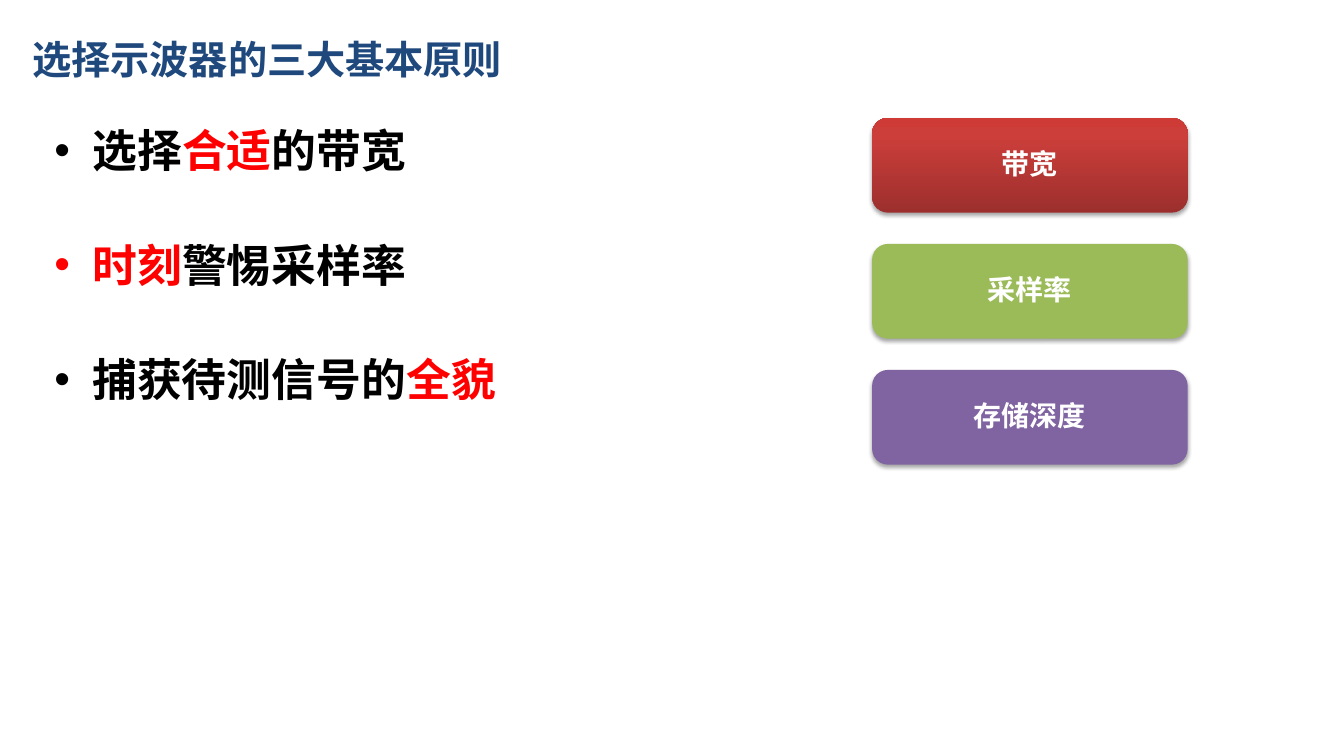
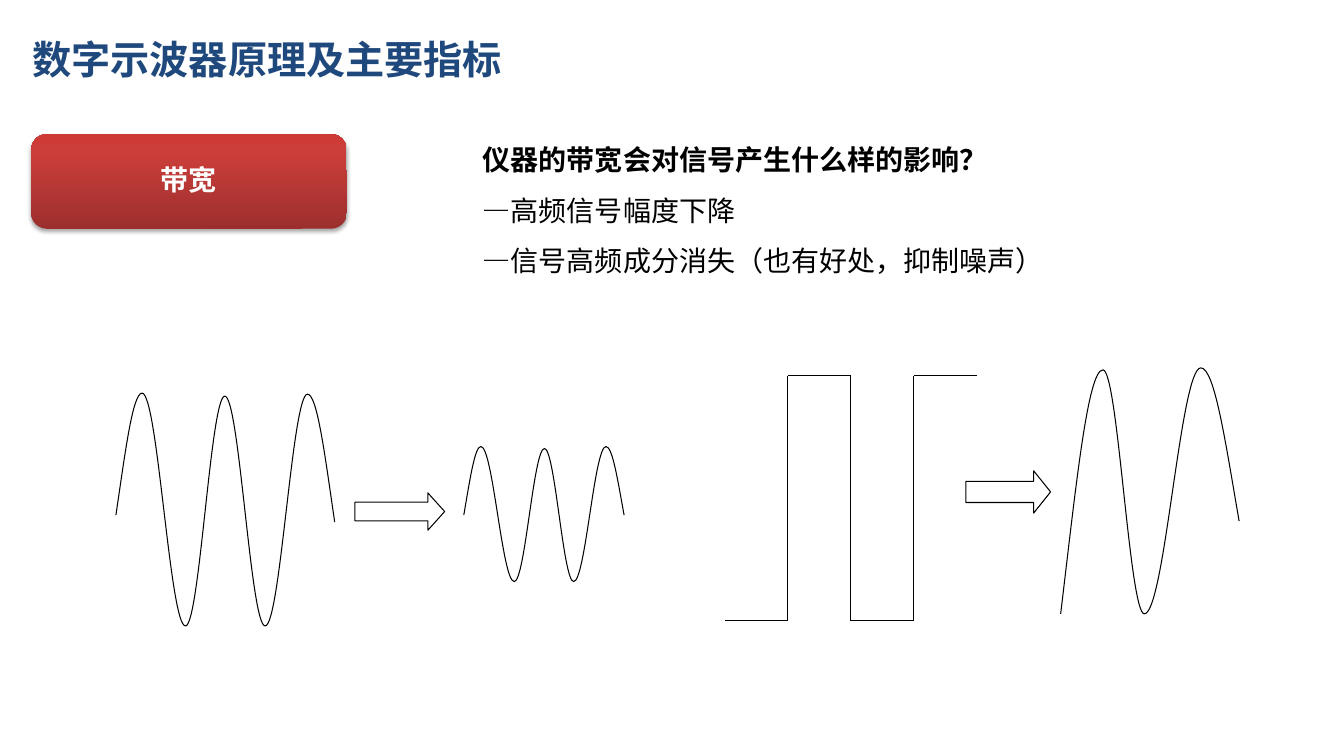
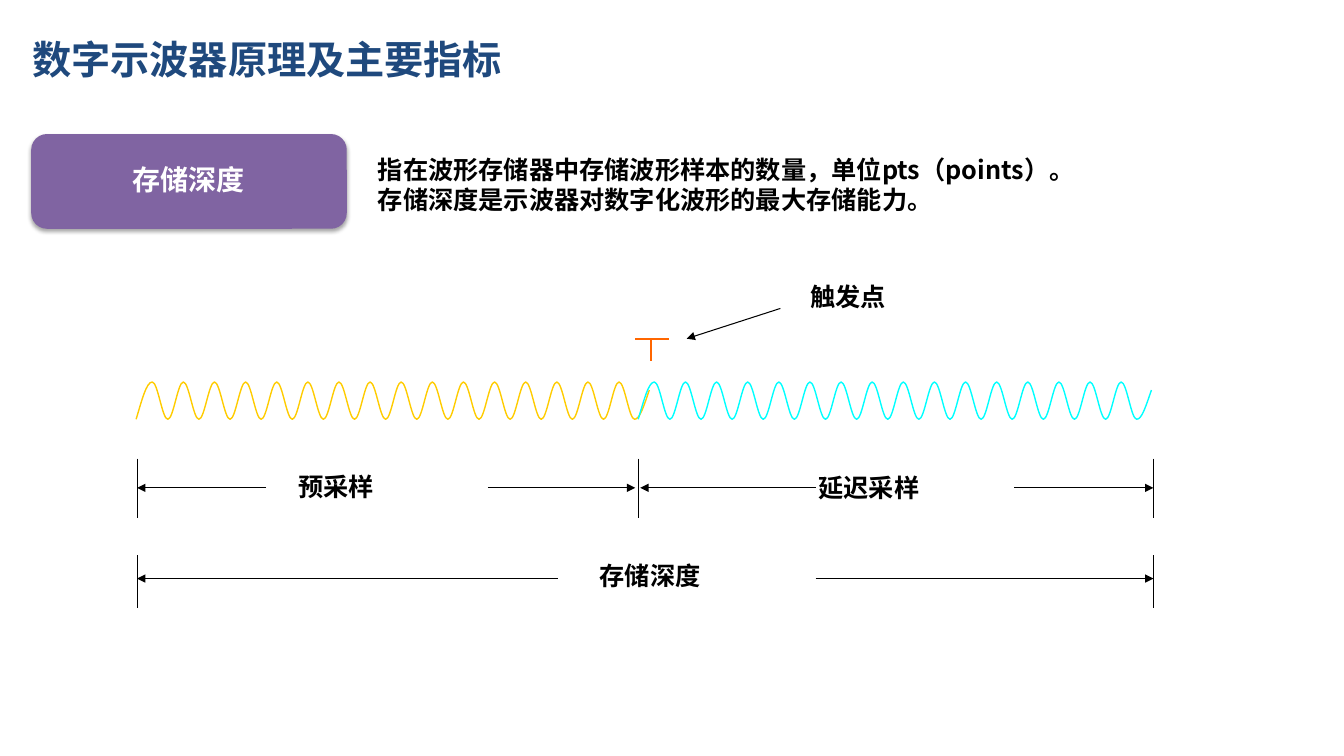
from dataclasses import dataclass
from itertools import pairwise
from copy import deepcopy
from typing import Any, NamedTuple

from lxml.etree import SubElement
from pptx import Presentation
from pptx.dml.color import RGBColor
from pptx.enum.shapes import MSO_CONNECTOR as Connector, MSO_SHAPE as Shape
from pptx.enum.text import MSO_ANCHOR as Anchor, MSO_AUTO_SIZE as AutoSize, PP_ALIGN as Align
from pptx.oxml.ns import qn
from pptx.util import Inches, Pt

# Shared look
FONT = "Noto Sans CJK SC"
NAVY = RGBColor(0x1F, 0x49, 0x7D)
BLACK = RGBColor(0x00, 0x00, 0x00)
WHITE = RGBColor(0xFF, 0xFF, 0xFF)
RED = RGBColor(0xFF, 0x00, 0x00)
GREEN = RGBColor(0x9B, 0xBB, 0x59)
PURPLE = RGBColor(0x80, 0x64, 0xA2)
YELLOW = RGBColor(0xFF, 0xCC, 0x00)
CYAN = RGBColor(0x00, 0xFF, 0xFF)
ORANGE = RGBColor(0xFF, 0x66, 0x00)
RED_GRADIENT = [
    (0, RGBColor(0x9C, 0x2F, 0x2D)),
    (0.8, RGBColor(0xCB, 0x3E, 0x3A)),
    (1, RGBColor(0xCE, 0x3B, 0x37)),
]

TITLE_FORMAT = {"name": FONT, "size": Pt(28), "bold": True}
LIST_FORMAT = {"name": FONT, "size": Pt(32), "bold": True}
CARD_FORMAT = {"name": FONT, "size": Pt(20), "bold": True}
PLAIN_FORMAT = {"name": FONT, "size": Pt(20), "bold": False}
LABEL_FORMAT = {"name": FONT, "size": Pt(18), "bold": True}

CARD_WIDTH, CARD_HEIGHT = 3.13, 0.94
# Bezier handles that follow a sine, as shares of a segment
HANDLE_REACH, HANDLE_RISE = 0.36, 0.52

Point = tuple[float, float]


class Card(NamedTuple):
    text: str
    fill: RGBColor | None  # None means the red gradient


@dataclass
class Line:
    start: Point
    end: Point
    color: RGBColor = BLACK
    width: float = 0.75
    arrow: bool = False


@dataclass
class Wave:
    start: Point
    turns: list[Point]
    end: Point
    color: RGBColor = BLACK
    width: float = 0.75


class Label(NamedTuple):
    left: float
    top: float
    width: float
    text: str


class BlockArrow(NamedTuple):
    left: float
    top: float
    width: float
    height: float
    head: float


BANDWIDTH = Card("带宽", None)
SAMPLE_RATE = Card("采样率", GREEN)
MEMORY_DEPTH = Card("存储深度", PURPLE)


def place(shape: Any, left: float, top: float, width: float, height: float) -> None:
    shape.left, shape.top = Inches(left), Inches(top)
    shape.width, shape.height = Inches(width), Inches(height)


def add_span(para: Any, text: str, style: dict, color: RGBColor = BLACK) -> None:
    span = para.add_run()
    span.text = text
    for name, value in style.items():
        setattr(span.font, name, value)
    span.font.color.rgb = color
    latin = span.font._element.find(qn("a:latin"))
    east_asian = deepcopy(latin)
    east_asian.tag = qn("a:ea")
    latin.addnext(east_asian)


def add_page(deck: Any, layout: int, title: str) -> Any:
    page = deck.slides.add_slide(deck.slide_layouts[layout])
    box = page.shapes.title
    place(box, 0.22, 0.25, 11.67, 0.67)
    frame = box.text_frame
    frame.auto_size = AutoSize.NONE
    frame.vertical_anchor = Anchor.MIDDLE
    para = frame.paragraphs[0]
    para.alignment = Align.LEFT
    add_span(para, title, TITLE_FORMAT, NAVY)
    return page


def add_text(page: Any, left: float, top: float, width: float, height: float,
             lines: list[tuple[str, dict]], spacing: float = 1.0, wrap: bool = True) -> None:
    box = page.shapes.add_textbox(Inches(left), Inches(top), Inches(width), Inches(height))
    frame = box.text_frame
    frame.word_wrap = wrap
    for index, (text, style) in enumerate(lines):
        para = frame.add_paragraph() if index else frame.paragraphs[0]
        para.line_spacing = spacing
        add_span(para, text, style)


def add_card(page: Any, card: Card, left: float, top: float) -> None:
    box = page.shapes.add_shape(Shape.ROUNDED_RECTANGLE, Inches(left), Inches(top),
                                Inches(CARD_WIDTH), Inches(CARD_HEIGHT))
    box.line.fill.background()
    if card.fill is None:
        box.fill.gradient()
        box.fill.gradient_angle = 90
        stop_list = box.element.spPr.find(".//" + qn("a:gsLst"))
        stop_list.append(deepcopy(stop_list[0]))
        for stop, (position, color) in zip(box.fill.gradient_stops, RED_GRADIENT):
            stop.position, stop.color.rgb = position, color
    else:
        box.fill.solid()
        box.fill.fore_color.rgb = card.fill
    # Soft shadow straight below the card
    box.shadow.inherit = False
    effects = box.element.spPr.find(qn("a:effectLst"))
    shadow = SubElement(effects, qn("a:outerShdw"), blurRad=str(Pt(3.1)), dist=str(Pt(1.8)),
                        dir="5400000", algn="ctr", rotWithShape="0")
    black = SubElement(shadow, qn("a:srgbClr"), val=str(BLACK))
    SubElement(black, qn("a:alpha"), val="35000")
    frame = box.text_frame
    frame.vertical_anchor = Anchor.MIDDLE
    para = frame.paragraphs[0]
    para.alignment = Align.CENTER
    para.line_spacing = 0.9
    add_span(para, card.text, CARD_FORMAT, WHITE)


def add_line(page: Any, line: Line) -> None:
    connector = page.shapes.add_connector(Connector.STRAIGHT, *map(Inches, line.start + line.end))
    connector.line.color.rgb = line.color
    connector.line.width = Pt(line.width)
    properties = connector.element.spPr
    if line.arrow:
        SubElement(properties.find(qn("a:ln")), qn("a:tailEnd"), type="triangle")
    SubElement(properties, qn("a:effectLst"))


def bend_segments(curve: Any) -> None:
    """Turn straight segments into Bezier ones, level at each turning point."""
    outline = curve.element.spPr.find(".//" + qn("a:path"))
    points = [(int(point.get("x")), int(point.get("y"))) for point in outline.iter(qn("a:pt"))]
    segments = outline.findall(qn("a:lnTo"))
    last = len(segments) - 1
    for index, (segment, ((x0, y0), (x1, y1))) in enumerate(zip(segments, pairwise(points))):
        reach, rise = HANDLE_REACH * (x1 - x0), HANDLE_RISE * (y1 - y0)
        handles = [
            (x0 + reach, y0 + rise if index == 0 else y0),
            (x1 - reach, y1 - rise if index == last else y1),
        ]
        target = segment[0]
        segment.tag = qn("a:cubicBezTo")
        for x, y in handles:
            SubElement(segment, qn("a:pt"), x=str(round(x)), y=str(round(y)))
        segment.append(target)


def add_wave(page: Any, wave: Wave) -> None:
    first, *rest = [(Inches(x), Inches(y)) for x, y in [wave.start, *wave.turns, wave.end]]
    builder = page.shapes.build_freeform(*first)
    builder.add_line_segments(rest, close=False)
    curve = builder.convert_to_shape()
    bend_segments(curve)
    curve.fill.background()
    curve.line.color.rgb = wave.color
    curve.line.width = Pt(wave.width)
    curve.shadow.inherit = False


def add_block_arrow(page: Any, arrow: BlockArrow) -> None:
    shape = page.shapes.add_shape(Shape.RIGHT_ARROW, *map(Inches, arrow[:4]))
    shape.adjustments[1] = arrow.head
    shape.fill.solid()
    shape.fill.fore_color.rgb = WHITE
    shape.line.color.rgb = BLACK
    shape.line.width = Pt(0.75)
    shape.shadow.inherit = False


def build_principles(deck: Any) -> None:
    page = add_page(deck, 1, "选择示波器的三大基本原则")
    principles = [
        [("选择", BLACK), ("合适", RED), ("的带宽", BLACK)],
        [("时刻", RED), ("警惕采样率", BLACK)],
        [("捕获待测信号的", BLACK), ("全貌", RED)],
    ]
    body = page.placeholders[1]
    place(body, 0.44, 1.17, 8, 5.67)
    frame = body.text_frame
    frame.auto_size = AutoSize.NONE
    for index, spans in enumerate(principles):
        para = frame.add_paragraph() if index else frame.paragraphs[0]
        para.space_before = Pt(43.3 if index else 0)
        for text, color in spans:
            add_span(para, text, LIST_FORMAT, color)
    for index, card in enumerate([BANDWIDTH, SAMPLE_RATE, MEMORY_DEPTH]):
        add_card(page, card, 8.65, 1.17 + 1.25 * index)


def build_bandwidth(deck: Any) -> None:
    page = add_page(deck, 5, "数字示波器原理及主要指标")
    add_card(page, BANDWIDTH, 0.31, 1.33)
    add_text(page, 4.69, 1.2, 8.23, 1.62, [
        ("仪器的带宽会对信号产生什么样的影响？", CARD_FORMAT),
        ("—高频信号幅度下降", PLAIN_FORMAT),
        ("—信号高频成分消失（也有好处，抑制噪声）", PLAIN_FORMAT),
    ], spacing=1.5)
    # Full sine, weakened sine, and the sine left of a square wave
    waves = [
        Wave((1.15, 5.11), [(1.41, 3.9), (1.84, 6.21), (2.23, 3.93), (2.63, 6.21), (3.05, 3.91)],
             (3.32, 5.18)),
        Wave((4.6, 5.11), [(4.77, 4.43), (5.1, 5.77), (5.4, 4.45), (5.69, 5.77), (6.01, 4.43)],
             (6.19, 5.11)),
        Wave((10.52, 6.09), [(10.94, 3.67), (11.35, 6.09), (11.91, 3.65)], (12.29, 5.17)),
    ]
    for wave in waves:
        add_wave(page, wave)
    # Square wave
    low, high = 6.16, 3.73
    edges = [7.19 + 0.625 * step for step in range(5)]
    levels = [low, high, low, high]
    corners = [(x, level) for level, sides in zip(levels, pairwise(edges)) for x in sides]
    for start, end in pairwise(corners):
        add_line(page, Line(start, end))
    for arrow in [BlockArrow(3.52, 4.89, 0.89, 0.37, 0.45), BlockArrow(9.58, 4.67, 0.84, 0.42, 0.4)]:
        add_block_arrow(page, arrow)


def build_memory_depth(deck: Any) -> None:
    page = add_page(deck, 5, "数字示波器原理及主要指标")
    add_card(page, MEMORY_DEPTH, 0.31, 1.33)
    add_text(page, 3.65, 1.48, 9.6, 0.71, [
        ("指在波形存储器中存储波形样本的数量，单位pts（points）。", LABEL_FORMAT),
        ("存储深度是示波器对数字化波形的最大存储能力。", LABEL_FORMAT),
    ])
    # Samples before and after the trigger
    crest, trough, periods = 3.79, 4.16, 16
    half_period = 4.63 / 30
    for left, color in [(1.35, YELLOW), (6.33, CYAN)]:
        turns = [(left + 0.16 + half_period * index, trough if index % 2 else crest)
                 for index in range(2 * periods)]
        add_wave(page, Wave((left, trough), turns, (left + 5.09, 3.87), color, 1))
    # Trigger mark, dimension bars and arrows
    first, trigger, last = 1.36, 6.33, 11.44
    sample_y, depth_y = 4.84, 5.74
    lines = [
        Line((6.3, 3.36), (6.64, 3.36), ORANGE, 1.5),
        Line((6.46, 3.36), (6.46, 3.58), ORANGE, 1.5),
        *[Line((x, 4.55), (x, 5.14)) for x in (first, trigger, last)],
        *[Line((x, 5.51), (x, 6.03)) for x in (first, last)],
        *[Line((start, y), (end, y), arrow=True) for start, end, y in [
            (2.64, first, sample_y),
            (4.84, trigger - 0.03, sample_y),
            (8.09, trigger + 0.02, sample_y),
            (10.06, last, sample_y),
            (5.53, first, depth_y),
            (8.09, last, depth_y),
        ]],
        Line((7.74, 3.06), (6.81, 3.36), arrow=True),
    ]
    for line in lines:
        add_line(page, line)
    labels = [
        Label(2.86, 4.63, 0.96, "预采样"),
        Label(7.94, 2.74, 0.96, "触发点"),
        Label(8.02, 4.64, 1.21, "延迟采样"),
        Label(5.85, 5.51, 1.21, "存储深度"),
    ]
    for label in labels:
        add_text(page, label.left, label.top, label.width, 0.4,
                 [(label.text, LABEL_FORMAT)], wrap=False)


def main() -> None:
    deck = Presentation()
    deck.slide_width, deck.slide_height = Inches(13.33), Inches(7.5)
    build_principles(deck)
    build_bandwidth(deck)
    build_memory_depth(deck)
    deck.save("out.pptx")


if __name__ == "__main__":
    main()
